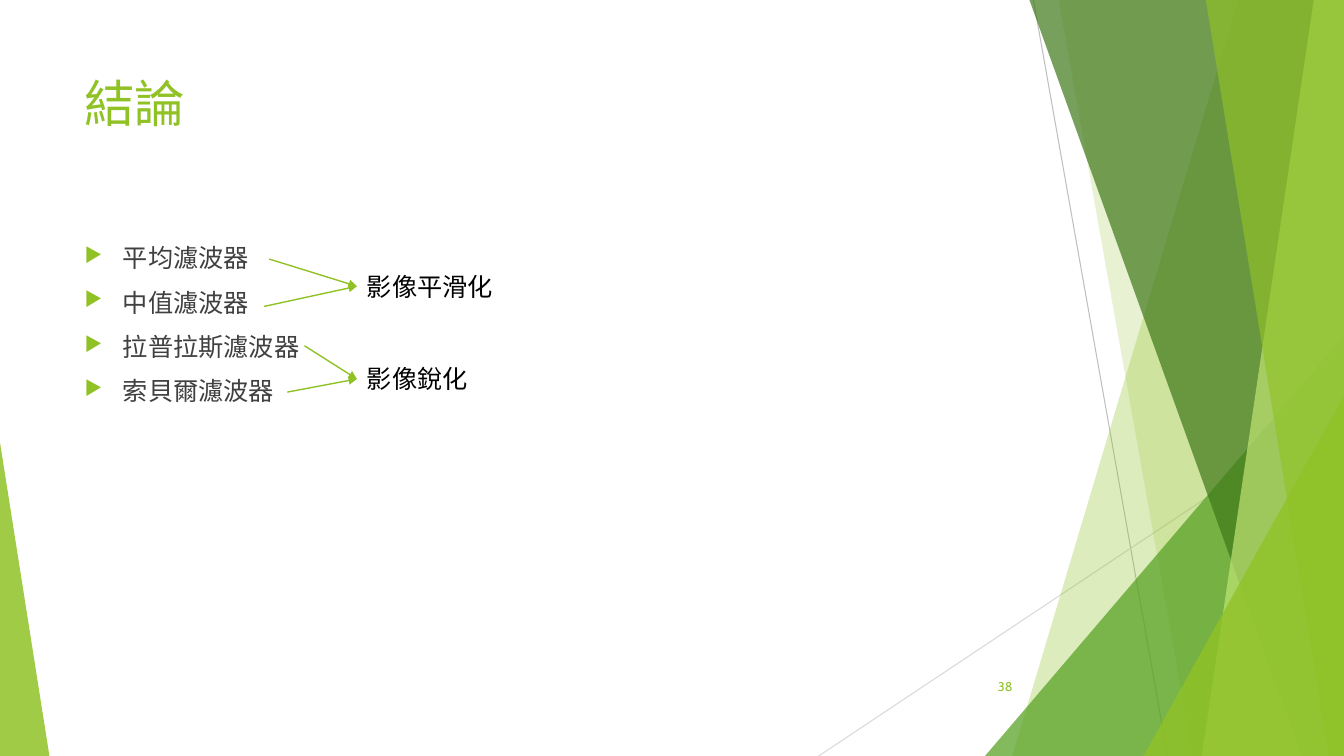
import pptx
import pptx.util
import pptx.dml.color
import pptx.enum.shapes
import pptx.enum.text
import pptx.oxml
import pptx.oxml.ns
from pptx.util import Inches

RGBColor = pptx.dml.color.RGBColor
LIME = RGBColor(0x90, 0xC2, 0x26)
GREEN = RGBColor(0x54, 0xA0, 0x21)
DARK_GREEN = RGBColor(0x3F, 0x78, 0x19)
PALE_LIME = RGBColor(0xC0, 0xE4, 0x74)
GRAY = RGBColor(0xBF, 0xBF, 0xBF)
LIGHT_GRAY = RGBColor(0xD9, 0xD9, 0xD9)
TEXT_GRAY = RGBColor(0x40, 0x40, 0x40)
BLACK = RGBColor(0, 0, 0)
FONT = "Cabin"
WIDTH, HEIGHT = 13.33, 7.5

TITLE = "結論"
PAGE_NUMBER = "38"
FILTERS = ["平均濾波器", "中值濾波器", "拉普拉斯濾波器", "索貝爾濾波器"]
EFFECT_LEFT = 3.54
EFFECTS = [
    ("影像平滑化", 2.64, 1.46, [(2.67, 2.57), (2.62, 3.04)]),
    ("影像銳化", 3.56, 1.21, [(3.02, 3.43), (2.85, 3.89)]),
]
EFFECT_HEIGHT = 0.4

THIN_LINES = [
    ((10.25, 0), (11.58, HEIGHT), GRAY),
    ((WIDTH, 4.03), (8.12, HEIGHT), LIGHT_GRAY),
]
BAND, TRIANGLE = "band", "triangle"
FACETS = [
    (BAND, (12.28, 10.04), LIME, 30),
    (BAND, (10.5, 11.83), LIME, 20),
    (TRIANGLE, (9.77, 3.33, 3.56, 1), GREEN, 72),
    (BAND, (10.21, 12.91), DARK_GREEN, 70),
    (BAND, (13.03, 11.92), PALE_LIME, 70),
    (BAND, (11.96, 13.18), LIME, 65),
    (TRIANGLE, (11.34, 3.93, 1.99, 1), LIME, 80),
    (TRIANGLE, (0, 4.39, 0.49, 0), LIME, 85),
]


def add_xml(parent, tag, **attributes):
    child = pptx.oxml.parse_xml(f"<a:{tag} {pptx.oxml.ns.nsdecls('a')}/>")
    for name, value in attributes.items():
        child.set(name, str(value))
    parent.append(child)
    return child


def add_line(page, start, end, color, weight, arrow=False):
    line = page.shapes.add_connector(
        pptx.enum.shapes.MSO_CONNECTOR.STRAIGHT, *map(Inches, start + end))
    line.line.color.rgb = color
    line.line.width = pptx.util.Pt(weight)
    if arrow:
        add_xml(line.line._get_or_add_ln(), "tailEnd", type="triangle")
    add_xml(line._element.spPr, "effectLst")


def add_facet(page, kind, geometry, color, opacity):
    if kind == BAND:
        top_left, bottom_left = geometry
        builder = page.shapes.build_freeform(Inches(top_left), 0)
        corners = [(WIDTH, 0), (WIDTH, HEIGHT), (bottom_left, HEIGHT)]
        builder.add_line_segments([(Inches(x), Inches(y)) for x, y in corners], close=True)
        facet = builder.convert_to_shape()
    else:
        left, top, width, apex = geometry
        facet = page.shapes.add_shape(
            pptx.enum.shapes.MSO_SHAPE.ISOSCELES_TRIANGLE,
            Inches(left), Inches(top), Inches(width), Inches(HEIGHT - top))
        facet.adjustments[0] = apex
    facet.shadow.inherit = False
    facet.line.fill.background()
    facet.fill.solid()
    facet.fill.fore_color.rgb = color
    color_node = facet._element.spPr.find(".//" + pptx.oxml.ns.qn("a:srgbClr"))
    add_xml(color_node, "alpha", val=opacity * 1000)


def add_bullet(para):
    properties = para._p.get_or_add_pPr()
    properties.set("marL", str(Inches(0.38)))
    properties.set("indent", str(-Inches(0.38)))
    add_xml(add_xml(properties, "buClr"), "srgbClr", val=LIME)
    add_xml(properties, "buSzPct", val=80000)
    add_xml(properties, "buChar", char="▶")


def add_text(page, place, lines, size, color, wrap=True, bullets=False):
    box = page.shapes.add_textbox(*map(Inches, place))
    frame = box.text_frame
    frame.word_wrap = wrap
    frame.text = "\n".join(lines)
    for index, para in enumerate(frame.paragraphs):
        if bullets:
            add_bullet(para)
            if index:
                para.space_before = pptx.util.Pt(10)
        para.font.name = FONT
        para.font.size = pptx.util.Pt(size)
        para.font.color.rgb = color
    return frame


def main():
    deck = pptx.Presentation()
    deck.slide_width, deck.slide_height = Inches(WIDTH), Inches(HEIGHT)
    page = deck.slides.add_slide(deck.slide_layouts[6])

    for start, end, color in THIN_LINES:
        add_line(page, start, end, color, 0.75)
    for facet in FACETS:
        add_facet(page, *facet)

    add_text(page, (0.74, 0.67, 9.4, 1.44), [TITLE], 36, LIME)
    add_text(page, (0.74, 2.36, 9.4, 4.24), FILTERS, 18, TEXT_GRAY, bullets=True)
    number = add_text(page, (9.39, 6.61, 0.75, 0.4), [PAGE_NUMBER], 9, LIME)
    number.vertical_anchor = pptx.enum.text.MSO_ANCHOR.MIDDLE
    number.paragraphs[0].alignment = pptx.enum.text.PP_ALIGN.RIGHT

    for label, top, width, starts in EFFECTS:
        add_text(page, (EFFECT_LEFT, top, width, EFFECT_HEIGHT), [label], 18, BLACK, wrap=False)
        for start in starts:
            add_line(page, start, (EFFECT_LEFT, top + EFFECT_HEIGHT / 2), LIME, 1, arrow=True)

    deck.save("out.pptx")


if __name__ == "__main__":
    main()
